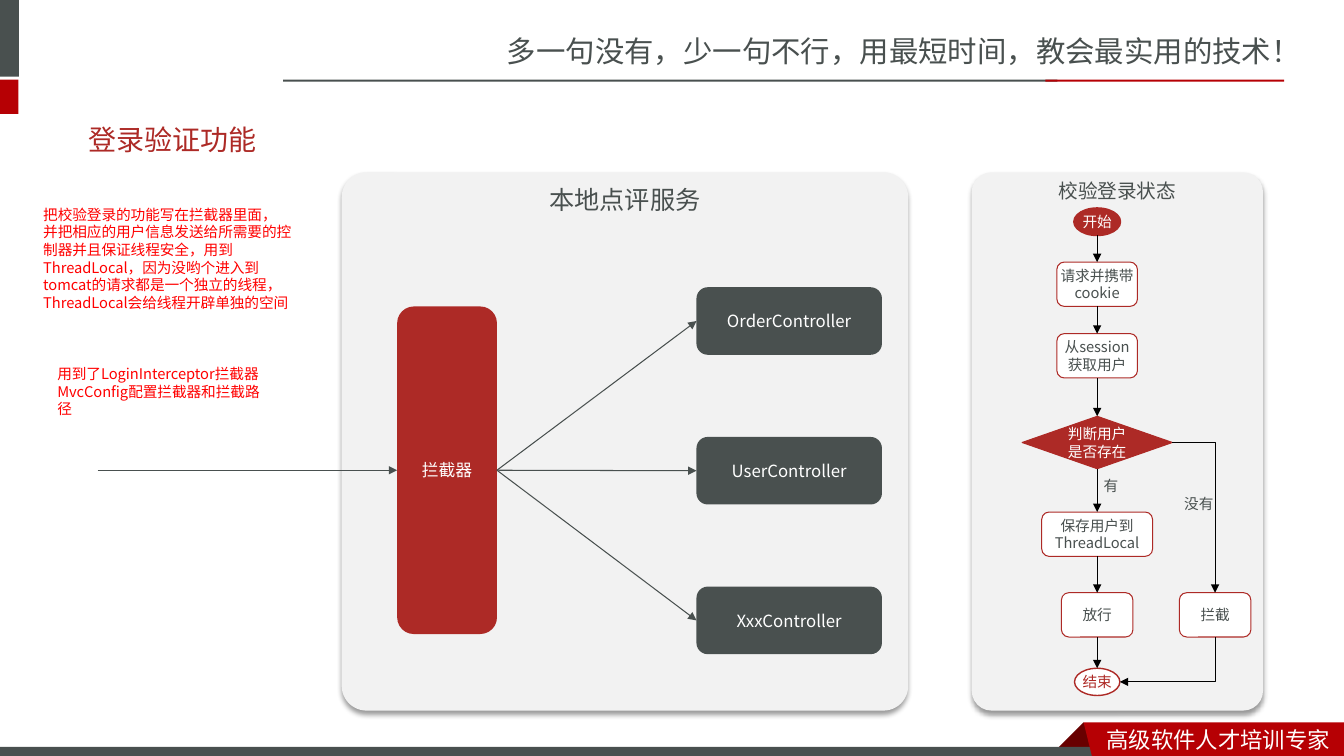
from lxml.etree import SubElement
from pptx import Presentation
from pptx.dml.color import RGBColor
from pptx.enum.shapes import MSO_CONNECTOR, MSO_SHAPE
from pptx.enum.text import MSO_ANCHOR, PP_ALIGN
from pptx.oxml.ns import qn
from pptx.util import Inches, Pt

SLOGAN = "多一句没有，少一句不行，用最短时间，教会最实用的技术！"
TAGLINE = "高级软件人才培训专家"
TITLE = "登录验证功能"
SERVICE, LOGIN = "本地点评服务", "校验登录状态"
INTERCEPTOR = "拦截器"
CONTROLLERS = ["OrderController", "UserController", "XxxController"]
NOTES = [
    (["把校验登录的功能写在拦截器里面，",
      "并把相应的用户信息发送给所需要的控制器并且保证线程安全，用到ThreadLocal，"
      "因为没哟个进入到tomcat的请求都是一个独立的线程，",
      "ThreadLocal会给线程开辟单独的空间"], (3.96, 23.88, 32.52, 13.92)),
    (["用到了LoginInterceptor拦截器", "MvcConfig配置拦截器和拦截路径"],
     (5.64, 42.84, 27.72, 7.56)),
]
STEPS = [
    (["开始"], "start", 24.84, 5.4, 3.12),
    (["请求并携带cookie"], "step", 31.2, 9.6, 5.28),
    (["从session获取用户"], "step", 39.72, 9.6, 5.28),
    (["判断用户", "是否存在"], "check", 49.56, 17.88, 6.24),
    (["保存用户到ThreadLocal"], "step", 60.96, 13.2, 5.28),
    (["放行"], "step", 70.56, 8.52, 5.28),
    (["结束"], "end", 79.56, 5.4, 3.24),
]
REJECT = "拦截"
BRANCHES = [("没有", (139.8, 58.32, 5.88, 3.36)), ("有", (130.2, 56.16, 4.2, 3.36))]

THEME = {
    "font": "Noto Sans CJK SC",
    "slate": "49504F", "red": "AD2A26", "ribbon": "B60004", "fold": "680000",
    "panel": "F2F2F2", "white": "FFFFFF", "black": "000000", "note": "FF0000",
    "slogan": 21, "title": 20, "service": 18, "tagline": 16, "login": 14,
    "box": 12, "small": 10.5,
}
STEP_STYLES = {
    "start": (MSO_SHAPE.OVAL, "red", 2, "white"),
    "step": (MSO_SHAPE.ROUNDED_RECTANGLE, "white", 0.75, "slate"),
    "check": (MSO_SHAPE.DIAMOND, "red", 0.75, "white"),
    "end": (MSO_SHAPE.OVAL, "white", 1, "red"),
}
COLUMNS, ROWS = 160, 90
CELL = Inches(7.5) / ROWS
FLOW_X, REJECT_X = 130.62, 144.66
PANEL_TOP, PANEL_HEIGHT = 20.52, 64.08

deck = Presentation()
deck.slide_width, deck.slide_height = round(COLUMNS * CELL), round(ROWS * CELL)
slide = deck.slides.add_slide(deck.slide_layouts[5])
shapes = slide.shapes


def cells(*values):
    return [round(value * CELL) for value in values]


def color(name):
    return RGBColor.from_string(THEME[name])


def write(shape, paragraphs, size="small", ink="slate", align=PP_ALIGN.LEFT,
          anchor=MSO_ANCHOR.TOP, insets=(0.1, 0.05, 0.1, 0.05), wrap=True):
    frame = shape.text_frame
    frame.word_wrap = wrap
    frame.vertical_anchor = anchor
    (frame.margin_left, frame.margin_top,
     frame.margin_right, frame.margin_bottom) = map(Inches, insets)
    for index, words in enumerate(paragraphs):
        paragraph = frame.add_paragraph() if index else frame.paragraphs[0]
        paragraph.alignment = align
        run = paragraph.add_run()
        run.text = words
        run.font.size = Pt(THEME[size])
        run.font.color.rgb = color(ink)
        run.font.name = THEME["font"]
        SubElement(run.font._element, qn("a:ea"), typeface=THEME["font"])


def label(paragraphs, place, **style):
    write(shapes.add_textbox(*cells(*place)), paragraphs, **style)


def paint(shape, fill, edge=None, weight=0.75):
    shape.shadow.inherit = False
    shape.fill.solid()
    shape.fill.fore_color.rgb = color(fill)
    if edge:
        shape.line.color.rgb = color(edge)
        shape.line.width = Pt(weight)
    else:
        shape.line.fill.background()
    return shape


def block(preset, place, fill, edge=None, weight=0.75):
    return paint(shapes.add_shape(preset, *cells(*place)), fill, edge, weight)


def outline(points, fill):
    builder = shapes.build_freeform(*points[0], scale=CELL)
    builder.add_line_segments(points[1:])
    paint(builder.convert_to_shape(), fill)


def panel(left, width, rounding, heading, size, top_inset):
    card = block(MSO_SHAPE.ROUNDED_RECTANGLE,
                 (left, PANEL_TOP, width, PANEL_HEIGHT), "panel")
    card.adjustments[0] = rounding
    effects = card._element.spPr.find(qn("a:effectLst"))
    shadow = SubElement(effects, qn("a:outerShdw"), blurRad=str(Pt(4)), dist=str(Pt(3)),
                        dir="5400000", algn="t", rotWithShape="0")
    tint = SubElement(shadow, qn("a:srgbClr"), val=THEME["black"])
    SubElement(tint, qn("a:alpha"), val="40000")
    write(card, [heading], size=size, align=PP_ALIGN.CENTER,
          insets=(0.1, top_inset, 0.1, 0.05))


def arrow(begin, end, ink, kind=MSO_CONNECTOR.STRAIGHT):
    link = shapes.add_connector(kind, *cells(*begin, *end))
    link.line.color.rgb = color(ink)
    link.line.width = Pt(0.75)
    SubElement(link.line._get_or_add_ln(), qn("a:tailEnd"), type="triangle")
    SubElement(link._element.spPr, qn("a:effectLst"))
    return link


def corner(begin, end, quarter_turn=False):
    if quarter_turn:
        middle_x, middle_y = (begin[0] + end[0]) / 2, (begin[1] + end[1]) / 2
        half_x, half_y = abs(end[1] - begin[1]) / 2, abs(end[0] - begin[0]) / 2
        begin = (middle_x - half_x, middle_y - half_y)
        end = (middle_x + half_x, middle_y + half_y)
    link = arrow(begin, end, "black", MSO_CONNECTOR.ELBOW)
    link._element.spPr.find(qn("a:prstGeom")).set("prst", "bentConnector2")
    if quarter_turn:
        link._element.spPr.find(qn("a:xfrm")).set("rot", "5400000")


def step(paragraphs, kind, center, top, width, height):
    preset, fill, weight, ink = STEP_STYLES[kind]
    node = block(preset, (center - width / 2, top, width, height), fill, "red", weight)
    margin = 0 if kind == "check" else 0.05
    write(node, paragraphs, ink=ink, align=PP_ALIGN.CENTER, anchor=MSO_ANCHOR.MIDDLE,
          insets=(0, margin, 0, margin))


def draw_frame():
    for place, fill in [((0, 0, 2.25, 9.12), "slate"),
                        ((0, 9.48, 2.2, 4.08), "ribbon"),
                        ((33.72, 9.48, 92.16, 0.24), "slate"),
                        ((124.44, 9.48, 28.44, 0.24), "ribbon")]:
        block(MSO_SHAPE.RECTANGLE, place, fill)
    outline([(128.76, 86.4), (131.4, 89.04), (126.12, 89.04)], "fold")
    block(MSO_SHAPE.RECTANGLE, (0, 88.92, 131.4, 1.08), "slate")
    outline([(128.76, 86.4), (COLUMNS, 86.4), (COLUMNS, ROWS), (130.2, ROWS)], "ribbon")
    label([SLOGAN], (59.16, 3.36, 100.8, 5.64), size="slogan")
    label([TAGLINE], (130.56, 85.8, 29.4, 4.44), size="tagline", ink="white")
    title = shapes.title
    title.left, title.top, title.width, title.height = cells(9.36, 13.2, 140.4, 6.84)
    write(title, [TITLE], size="title", ink="red", anchor=MSO_ANCHOR.MIDDLE)


def draw_service():
    panel(40.68, 67.44, 0.046, SERVICE, "service", 0.05)
    left, top, width, height = 47.28, 36.48, 11.88, 39
    middle = top + height / 2
    boxes = [(INTERCEPTOR, (left, top, width, height), "red")]
    for index, name in enumerate(CONTROLLERS):
        boxes.append((name, (82.92, 34.2 + 17.82 * index, 22.08, 8.04), "slate"))
    for name, place, fill in boxes:
        box = block(MSO_SHAPE.ROUNDED_RECTANGLE, place, fill)
        write(box, [name], size="box", ink="white", align=PP_ALIGN.CENTER,
              anchor=MSO_ANCHOR.MIDDLE)
    arrow((11.64, middle), (left, middle), "slate")
    for _, (x, y, _, box_height), _ in boxes[1:]:
        arrow((left + width, middle), (x, y + box_height / 2), "slate")


def draw_login():
    panel(115.68, 34.68, 0.068, LOGIN, "login", 0.01)
    for paragraphs, kind, top, width, height in STEPS:
        step(paragraphs, kind, FLOW_X, top, width, height)
    for (_, _, top, _, height), (_, _, next_top, _, _) in zip(STEPS, STEPS[1:]):
        arrow((FLOW_X, top + height), (FLOW_X, next_top), "black")
    _, _, check_top, check_width, check_height = STEPS[3]
    _, _, top, width, height = STEPS[5]
    _, _, end_top, end_width, end_height = STEPS[6]
    step([REJECT], "step", REJECT_X, top, width, height)
    corner((FLOW_X + check_width / 2, check_top + check_height / 2), (REJECT_X, top))
    corner((REJECT_X, top + height),
           (FLOW_X + end_width / 2, end_top + end_height / 2), quarter_turn=True)
    for words, place in BRANCHES:
        label([words], place, wrap=False)


draw_frame()
draw_service()
draw_login()
for paragraphs, place in NOTES:
    label(paragraphs, place, ink="note")
deck.save("out.pptx")
